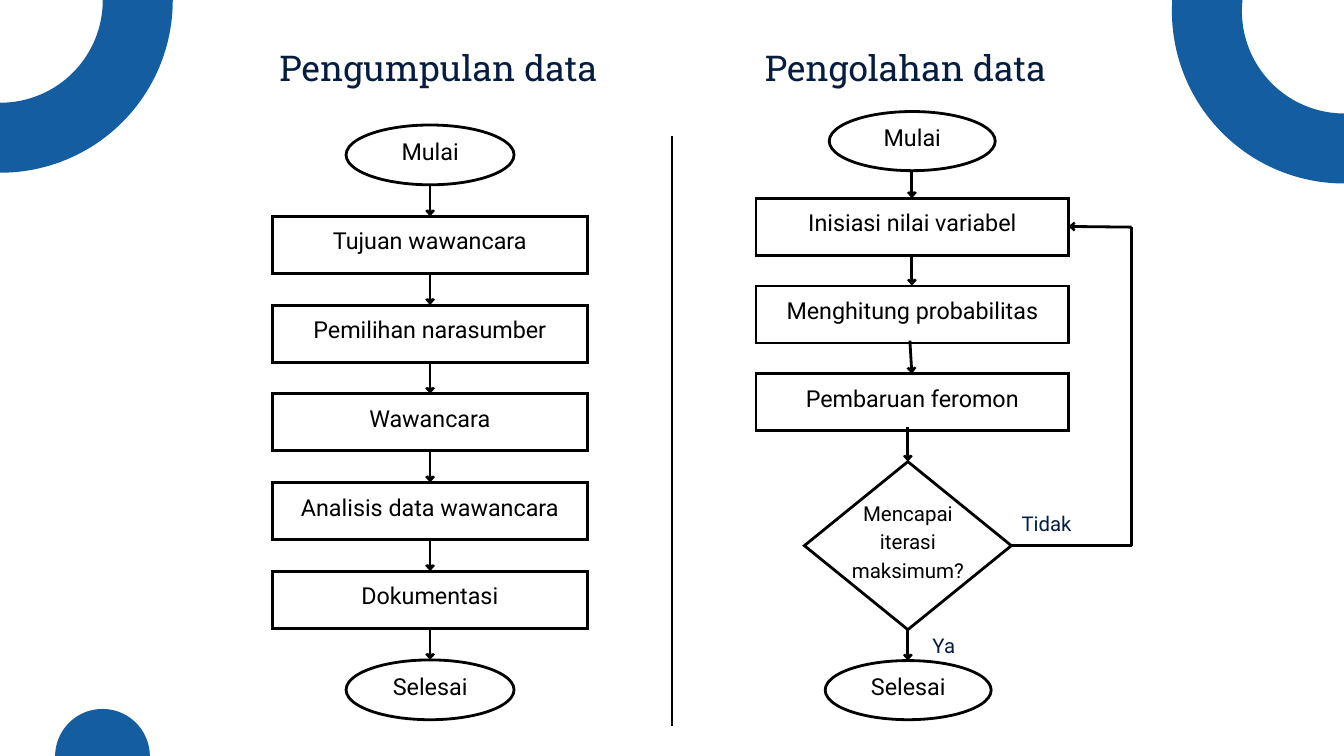
"""Build a slide with two flowcharts: data collection and data processing."""
from pptx import Presentation
from pptx.dml.color import RGBColor
from pptx.enum.shapes import MSO_CONNECTOR, MSO_SHAPE
from pptx.enum.text import MSO_ANCHOR, MSO_AUTO_SIZE, PP_ALIGN
from pptx.oxml.ns import qn
from pptx.util import Inches, Pt
from lxml.etree import SubElement

HUES = {"blue": "145DA0", "navy": "051D40", "ink": "000000"}
OVAL, RECT, GEM = MSO_SHAPE.OVAL, MSO_SHAPE.RECTANGLE, MSO_SHAPE.DIAMOND
INSETS = {OVAL: (0.24, -0.11, -0.08), RECT: (0, -0.2, 0), GEM: (0.53, 0.25, -0.43)}


def write(box, text, size, hue="ink", font="Roboto", pad=0):
    label = slide.shapes.add_textbox(*map(Inches, box))
    frame = label.text_frame
    frame.word_wrap = True
    frame.auto_size = MSO_AUTO_SIZE.NONE if pad else MSO_AUTO_SIZE.SHAPE_TO_FIT_TEXT
    frame.vertical_anchor = MSO_ANCHOR.MIDDLE if pad else MSO_ANCHOR.TOP
    frame.margin_left = frame.margin_right = Inches(pad)
    frame.margin_top = frame.margin_bottom = Inches(pad)
    para = frame.paragraphs[0]
    para.alignment = PP_ALIGN.CENTER
    para.line_spacing = Pt(round(size * 1.4, 1))
    run = para.add_run()
    run.text = text
    run.font.name = font
    run.font.size = Pt(size)
    run.font.color.rgb = RGBColor.from_string(HUES[hue])


def draw(kind, box, hue="ink", width=3):
    shape = slide.shapes.add_shape(kind, *map(Inches, box))
    shape.shadow.inherit = False
    color = RGBColor.from_string(HUES[hue])
    if width:
        shape.fill.background()
        shape.line.width = Pt(width)
        shape.line.color.rgb = color
        SubElement(shape.line._ln, qn("a:miter"), lim="800000")
    else:
        shape.fill.solid()
        shape.fill.fore_color.rgb = color
        shape.line.fill.background()


deck = Presentation()
deck.slide_width, deck.slide_height = Inches(20), Inches(11.25)
slide = deck.slides.add_slide(deck.slide_layouts[6])

draw(OVAL, (-2.04, -2.04, 4.09, 4.09), "blue", 75)
draw(OVAL, (17.96, -1.88, 4.09, 4.09), "blue", 75)
draw(OVAL, (0.82, 10.55, 1.41, 1.41), "blue", 0)

left = ["Tujuan wawancara", "Pemilihan narasumber", "Wawancara",
        "Analisis data wawancara", "Dokumentasi"]
right = ["Inisiasi nilai variabel", "Menghitung probabilitas", "Pembaruan feromon"]
nodes = [
    (OVAL, 5.15, 1.86, 2.5, 0.89, "Mulai", 25),
    *[(RECT, 4.05, 3.22 + 1.32 * i, 4.69, 0.85, text, 25) for i, text in enumerate(left)],
    (OVAL, 5.15, 9.82, 2.5, 0.89, "Selesai", 25),
    (OVAL, 12.34, 1.66, 2.47, 0.88, "Mulai", 25),
    *[(RECT, 11.25, 2.95 + 1.305 * i, 4.65, 0.85, text, 25) for i, text in enumerate(right)],
    (GEM, 11.97, 6.87, 3.08, 2.5, "Mencapai iterasi maksimum?", 22),
    (OVAL, 12.28, 9.83, 2.47, 0.88, "Selesai", 25),
]
for kind, x, y, w, h, text, size in nodes:
    draw(kind, (x, y, w, h))
    side, top, base = INSETS[kind]
    write((x + side, y + top, w - 2 * side, h - top + base), text, size, pad=0.06)

arrows = [(6.4, 2.76 + 1.32 * i, 6.4, 3.22 + 1.32 * i) for i in range(6)] + [
    (13.57, 2.55, 13.57, 2.95),
    (13.57, 3.79, 13.57, 4.25),
    (13.54, 5.07, 13.57, 5.56),
    (13.51, 6.36, 13.51, 6.87),
    (13.51, 9.37, 13.51, 9.83),
    (16.84, 3.38, 15.9, 3.37),
]
plain = [(10, 2.03, 10, 10.8), (15.05, 8.12, 16.84, 8.12), (16.84, 8.12, 16.84, 3.38)]
for ends in plain + arrows:
    link = slide.shapes.add_connector(MSO_CONNECTOR.STRAIGHT, *map(Inches, ends))
    link.line.width = Pt(3)
    link.line.color.rgb = RGBColor.from_string(HUES["ink"])
    if ends in arrows:
        SubElement(link.line._ln, qn("a:tailEnd"), type="arrow", w="med", len="sm")
    SubElement(link._element.spPr, qn("a:effectLst"))

write((13.28, 9.36, 1.53, 0.41), "Ya", 21.8, "navy")
write((14.81, 7.55, 1.53, 0.41), "Tidak", 21.8, "navy")
for x, text in [(3.05, "Pengumpulan data"), (10, "Pengolahan data")]:
    write((x, 0.58, 6.95, 0.71), text, 38, "navy", "Roboto Slab")

deck.save("out.pptx")
